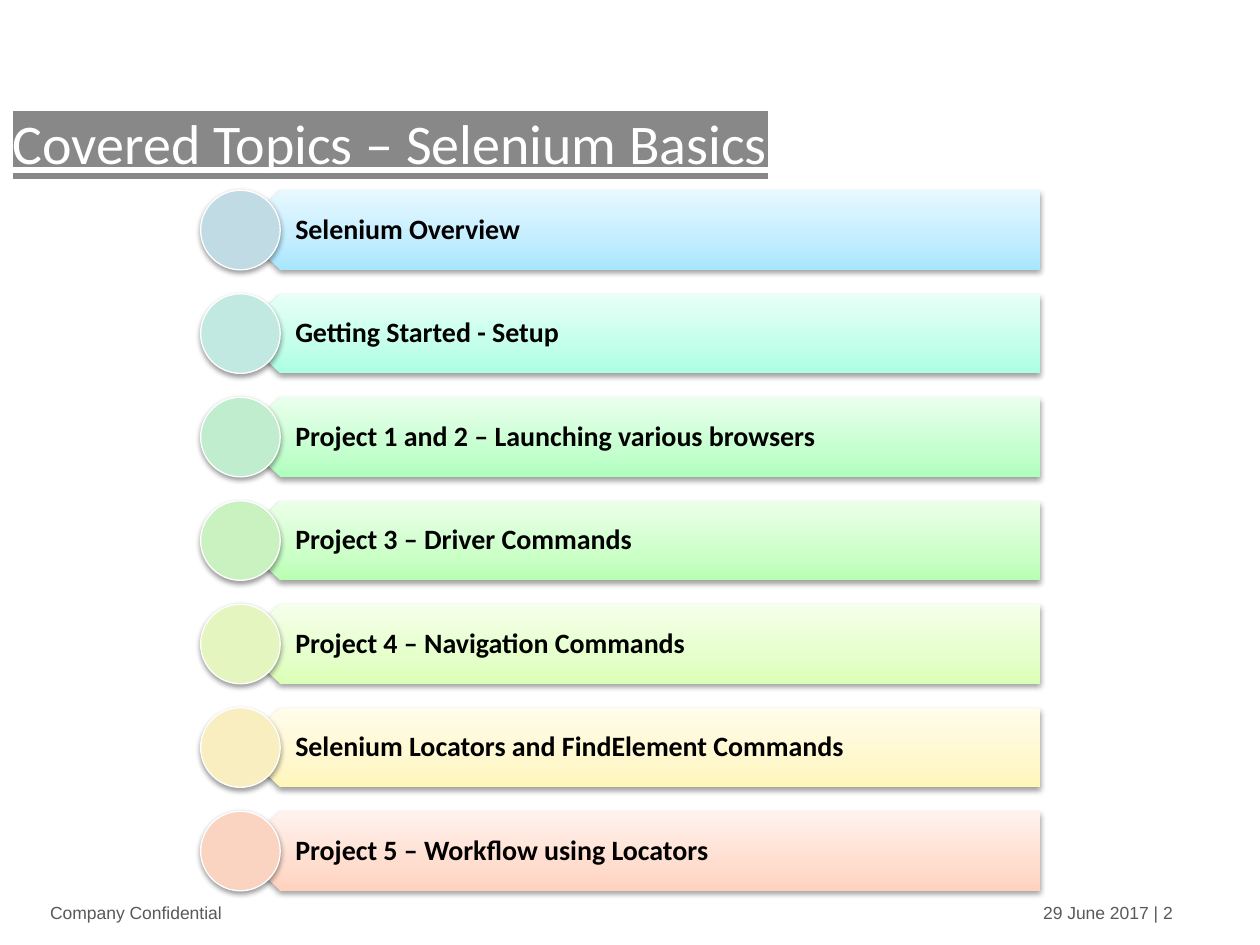
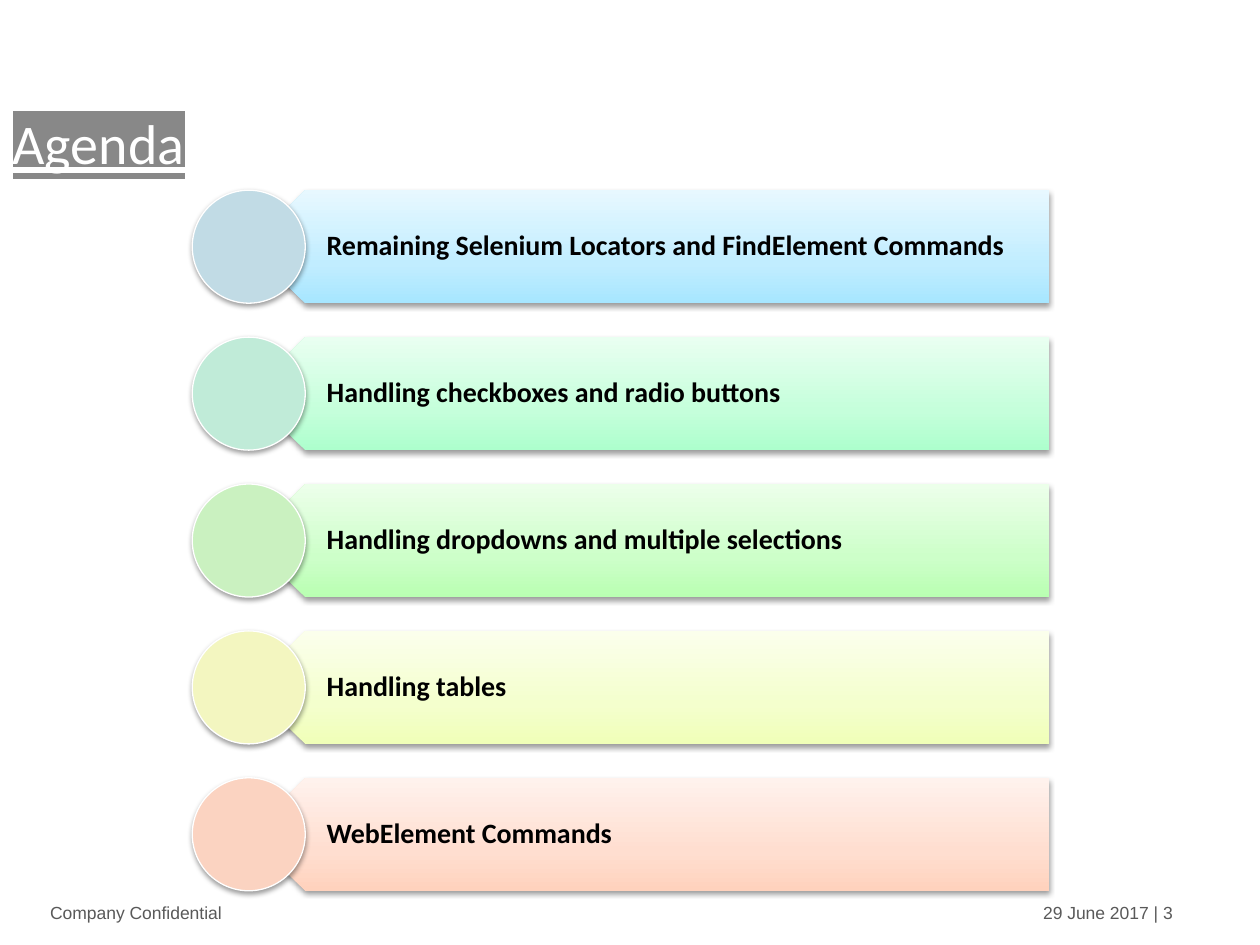
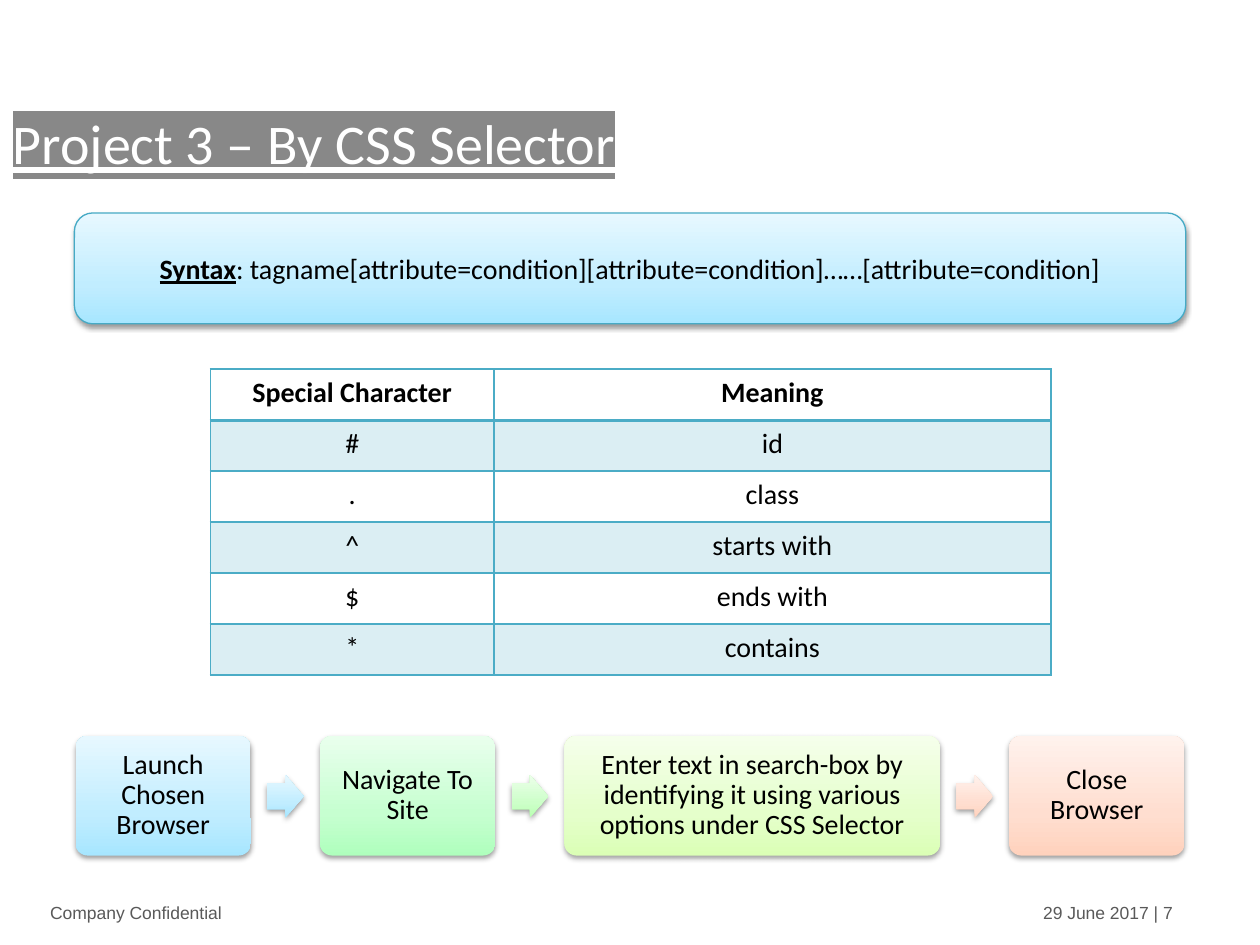
"""Builds three Selenium training slides: topics covered, agenda and CSS selectors."""
import pptx
import pptx.dml.color
import pptx.enum.shapes
import pptx.enum.text
import pptx.oxml.ns
import pptx.util
import copy
import lxml.etree

Inches, Pt = pptx.util.Inches, pptx.util.Pt
RGB = pptx.dml.color.RGBColor.from_string
qn = pptx.oxml.ns.qn
SHAPE = pptx.enum.shapes.MSO_SHAPE
ALIGN = pptx.enum.text.PP_ALIGN
ANCHOR = pptx.enum.text.MSO_ANCHOR

COLORS = {
    "ink": "000000", "white": "FFFFFF", "footer": "595959", "highlight": "888888",
    "accent": "4BACC6", "syntax edge": "46AAC5",
    "sky disc": "C1DBE5", "aqua disc": "C1E9E1", "jade disc": "C0EBD8",
    "mint disc": "C0EDCE", "green disc": "CAF1C0", "lime disc": "E4F5C0",
    "lemon disc": "F3F6C0", "cream disc": "F8EEC0", "peach disc": "FBD3C1",
}
GRADIENTS = {
    "sky": ["A7E6FF", "C1EDFF", "E7F8FF"], "aqua": ["ABFFE3", "C3FFEA", "E8FFF7"],
    "jade": ["ADFFCD", "C5FFDB", "E9FFF1"], "mint": ["AFFFBD", "C6FFD0", "E9FFED"],
    "green": ["B9FFB2", "CDFFC9", "ECFFEA"], "lime": ["DBFFB6", "E5FFCB", "F5FFEB"],
    "lemon": ["F0FFB8", "F4FFCD", "FBFFEC"], "cream": ["FFF6B9", "FFF8CE", "FFFCEC"],
    "peach": ["FFD2BD", "FFDED0", "FFF2ED"],
}
TOPIC_SLIDES = [
    ("Covered Topics – Selenium Basics", 2, [
        ("Selenium Overview", "sky"),
        ("Getting Started - Setup", "aqua"),
        ("Project 1 and 2 – Launching various browsers", "mint"),
        ("Project 3 – Driver Commands", "green"),
        ("Project 4 – Navigation Commands", "lime"),
        ("Selenium Locators and FindElement Commands", "cream"),
        ("Project 5 – Workflow using Locators", "peach")]),
    ("Agenda", 3, [
        ("Remaining Selenium Locators and FindElement Commands", "sky"),
        ("Handling checkboxes and radio buttons", "jade"),
        ("Handling dropdowns and multiple selections", "green"),
        ("Handling tables", "lemon"),
        ("WebElement Commands", "peach")]),
    ("Project 3 – By CSS Selector", 7, []),
]
SELECTORS = [("Special Character", "Meaning"), ("#", "id"), (".", "class"),
             ("^", "starts with"), ("$", "ends with"), ("*", "contains")]
STEPS = [
    ("Launch Chosen Browser", 1.39, "sky", "sky"),
    ("Navigate To Site", 1.39, "mint", "green"),
    ("Enter text in search-box by identifying it using various options "
     "under CSS Selector", 2.98, "lime", "peach"),
    ("Close Browser", 1.39, "peach", None),
]


def write(frame, text, size=16, color="ink", bold=False, align=ALIGN.LEFT, font="Calibri"):
    """Put one formatted paragraph in a frame and return its run."""
    frame.word_wrap = True
    paragraph = frame.paragraphs[0]
    paragraph.text = text
    paragraph.alignment = align
    run = paragraph.runs[0]
    run.font.size, run.font.bold, run.font.name = Pt(size), bold, font
    run.font.color.rgb = RGB(COLORS[color])
    return run


def polish(shape, fills, edge=None):
    """Give a shape a plain or upward gradient fill, an edge and a soft shadow."""
    if len(fills) == 1:
        shape.fill.solid()
        shape.fill.fore_color.rgb = RGB(fills[0])
    else:
        shape.fill.gradient()
        shape.fill.gradient_angle = 90 + shape.rotation
        stop_list = shape._element.spPr.find(".//" + qn("a:gsLst"))
        stop_list.append(copy.deepcopy(stop_list[0]))
        for stop, position, color in zip(shape.fill.gradient_stops, (0, 0.35, 1), fills):
            stop.position = position
            stop.color.rgb = RGB(color)
    if edge:
        shape.line.color.rgb = RGB(COLORS[edge])
        shape.line.width = Pt(0.75)
    else:
        shape.line.fill.background()
    shape.shadow.inherit = False
    effects = shape._element.spPr.find(qn("a:effectLst"))
    shadow = lxml.etree.SubElement(effects, qn("a:outerShdw"), blurRad=str(Pt(3.1)),
                                   dist=str(Pt(1.6)), dir="5400000", rotWithShape="0")
    shade = lxml.etree.SubElement(shadow, qn("a:srgbClr"), val=COLORS["ink"])
    lxml.etree.SubElement(shade, qn("a:alpha"), val="38000")


deck = pptx.Presentation()
deck.slide_width, deck.slide_height = Inches(10), Inches(7.5)

for heading, page, topics in TOPIC_SLIDES:
    slide = deck.slides.add_slide(deck.slide_layouts[5])
    title = slide.shapes.title
    title.left, title.top, title.width, title.height = map(Inches, (0, 0.81, 10, 0.57))
    title.text_frame.auto_size = pptx.enum.text.MSO_AUTO_SIZE.NONE
    title.text_frame.vertical_anchor = ANCHOR.TOP
    title.text_frame.margin_top = Inches(0.05)
    heading_run = write(title.text_frame, heading, 32, "white")
    heading_run.font.underline = True
    highlight = lxml.etree.Element(qn("a:highlight"))
    lxml.etree.SubElement(highlight, qn("a:srgbClr"), val=COLORS["highlight"])
    heading_run._r.rPr.find(qn("a:solidFill")).addnext(highlight)

    for left, width, note in ((8.18, 1.82, f"29 June 2017 | {page}"),
                              (0.3, 2.5, "Company Confidential")):
        footer = slide.shapes.add_textbox(Inches(left), Inches(7.11), Inches(width), Inches(0.4))
        write(footer.text_frame, note, 10, "footer", font="Arial")

    size = 5.56 / (1.3 * len(topics) - 0.3)
    bar_left = 1.75 + size / 4
    for row, (topic, tint) in enumerate(topics):
        top = Inches(1.51 + 1.3 * size * row)
        bar = slide.shapes.add_shape(SHAPE.PENTAGON, Inches(bar_left), top,
                                     Inches(6.35), Inches(size))
        bar.rotation = 180
        polish(bar, GRADIENTS[tint])
        label = slide.shapes.add_textbox(Inches(bar_left + size / 4), top,
                                         Inches(6.35 - size / 4), Inches(size))
        label.text_frame.vertical_anchor = ANCHOR.MIDDLE
        label.text_frame.margin_left = Inches(0.44 * size)
        label.text_frame.margin_right = Inches(0.12)
        write(label.text_frame, topic, bold=True)
        label.text_frame.paragraphs[0].line_spacing = 0.9
        disc = slide.shapes.add_shape(SHAPE.OVAL, Inches(bar_left - size / 2), top,
                                      Inches(size), Inches(size))
        polish(disc, [COLORS[tint + " disc"]], "white")

left = 0.6
for step, width, tint, arrow_tint in STEPS:
    box = slide.shapes.add_shape(SHAPE.ROUNDED_RECTANGLE, Inches(left), Inches(5.84),
                                 Inches(width), Inches(0.95))
    box.adjustments[0] = 0.1
    polish(box, GRADIENTS[tint])
    box.text_frame.vertical_anchor = ANCHOR.MIDDLE
    write(box.text_frame, step, align=ALIGN.CENTER)
    box.text_frame.paragraphs[0].line_spacing = 0.9
    left += width
    if arrow_tint:
        arrow = slide.shapes.add_shape(SHAPE.RIGHT_ARROW, Inches(left + 0.13), Inches(6.15),
                                       Inches(0.29), Inches(0.34))
        arrow.adjustments[0] = 0.6
        polish(arrow, GRADIENTS[arrow_tint])
    left += 0.55

syntax = slide.shapes.add_shape(SHAPE.ROUNDED_RECTANGLE, Inches(0.59), Inches(1.69),
                                Inches(8.82), Inches(0.88))
polish(syntax, GRADIENTS["sky"], "syntax edge")
syntax.text_frame.vertical_anchor = ANCHOR.MIDDLE
write(syntax.text_frame, "Syntax", bold=True, align=ALIGN.CENTER).font.underline = True
pattern = syntax.text_frame.paragraphs[0].add_run()
pattern.text = ": tagname[attribute=condition][attribute=condition]……[attribute=condition]"
pattern.font.size, pattern.font.name = Pt(16), "Calibri"
pattern.font.color.rgb = RGB(COLORS["ink"])

selectors = slide.shapes.add_table(len(SELECTORS), 2, Inches(1.67), Inches(2.93),
                                   Inches(6.67), Inches(2.43)).table
selectors.first_row = selectors.horz_banding = False
selectors.columns[0].width, selectors.columns[1].width = Inches(2.25), Inches(4.42)
for row, entry in enumerate(SELECTORS):
    for column, text in enumerate(entry):
        cell = selectors.cell(row, column)
        write(cell.text_frame, text, bold=row == 0, align=ALIGN.CENTER)
        for side in ("L", "R", "T", "B"):
            under_header = (row, side) in ((0, "B"), (1, "T"))
            border = lxml.etree.SubElement(cell._tc.get_or_add_tcPr(), qn("a:ln" + side),
                                           w=str(Pt(2 if under_header else 1)))
            paint = lxml.etree.SubElement(border, qn("a:solidFill"))
            lxml.etree.SubElement(paint, qn("a:srgbClr"), val=COLORS["accent"])
        if row % 2:
            cell.fill.solid()
            cell.fill.fore_color.rgb = RGB(COLORS["accent"])
            band = cell._tc.tcPr.find(qn("a:solidFill"))[0]
            lxml.etree.SubElement(band, qn("a:alpha"), val="20000")
        else:
            cell.fill.background()

deck.save("out.pptx")
